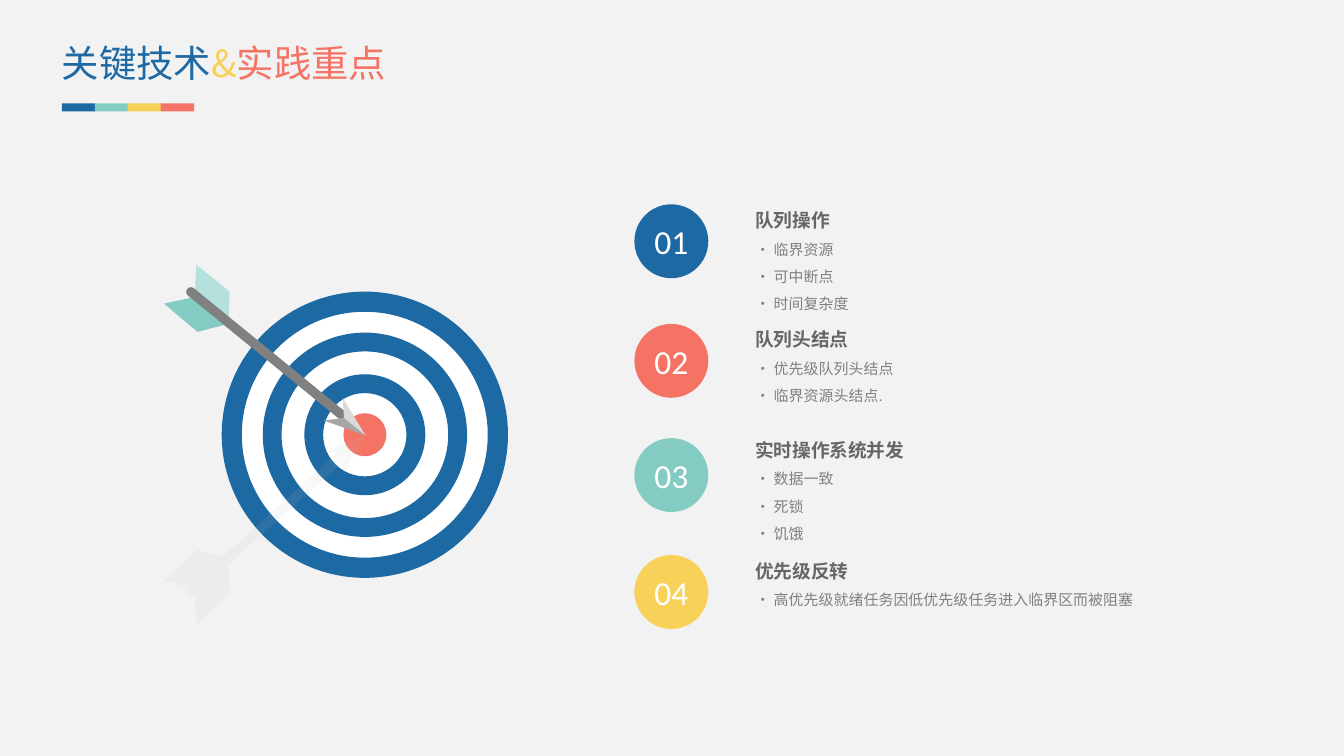
from pptx import Presentation
from pptx.dml.color import RGBColor
from pptx.enum.shapes import MSO_SHAPE
from pptx.enum.text import MSO_ANCHOR, MSO_AUTO_SIZE, PP_ALIGN
from pptx.oxml import parse_xml
from pptx.oxml.ns import nsdecls
from pptx.util import Inches, Pt

OVAL, DONUT = MSO_SHAPE.OVAL, MSO_SHAPE.DONUT
BAR, ROUNDED = MSO_SHAPE.RECTANGLE, MSO_SHAPE.ROUNDED_RECTANGLE
MIDDLE, CENTER = MSO_ANCHOR.MIDDLE, PP_ALIGN.CENTER
FIT_SHAPE = MSO_AUTO_SIZE.SHAPE_TO_FIT_TEXT

COLORS = {
    "background": "F2F2F2", "white": "FFFFFF",
    "blue": "1D69A3", "coral": "F57365", "teal": "84CBC3", "yellow": "F8D158",
    "light teal": "B5E0DB", "heading": "666666", "shaft": "808080",
    "detail": "808080", "dark tip": "A6A6A6", "light tip": "D9D9D9",
    "shadow": "BFBFBF",
}
CJK_FONT = "Noto Sans CJK SC"
UNITS = 100  # freeform units per inch

# number, colour, circle top, text top, heading font, heading, details
TOPICS = [
    ("01", "blue", 1.52, 1.52, "Arial", "队列操作",
     ["临界资源", "可中断点", "时间复杂度"]),
    ("02", "coral", 2.41, 2.41, "Calibri", "队列头结点",
     ["优先级队列头结点", "临界资源头结点."]),
    ("03", "teal", 3.26, 3.23, "Calibri", "实时操作系统并发",
     ["数据一致", "死锁", "饥饿"]),
    ("04", "yellow", 4.13, 4.13, "Calibri", "优先级反转",
     ["高优先级就绪任务因低优先级任务进入临界区而被阻塞"]),
]

# Outlines in hundredths of an inch from the top left of the arrow
ARROW_FEATHERS = [
    ("teal", [(48, 44), (25, 50), (0, 29), (23, 24)]),
    ("light teal", [(48, 44), (49, 20), (24, 0), (23, 24)]),
]
ARROW_TIP = [
    ("dark tip", [(119, 116), (150, 127), (134, 114)]),
    ("light tip", [(134, 114), (150, 127), (133, 99)]),
]
ARROW_SHADOW = [
    (150, 0), (133, 31), (134, 20), (48, 97), (49, 119), (24, 142), (23, 120),
    (22, 121), (19, 121), (17, 120), (16, 118), (18, 115), (19, 114),
    (0, 109), (25, 86), (44, 91), (129, 14), (119, 13),
]


def paint(shape, color):
    shape.shadow.inherit = False
    shape.fill.solid()
    shape.fill.fore_color.rgb = RGBColor.from_string(COLORS[color])
    shape.line.fill.background()


def add_filled(slide, kind, left, top, width, height, color):
    shape = slide.shapes.add_shape(
        kind, Inches(left), Inches(top), Inches(width), Inches(height))
    paint(shape, color)
    return shape


def add_outline(slide, left, top, points, color):
    builder = slide.shapes.build_freeform(*points[0], scale=Inches(1) / UNITS)
    builder.add_line_segments(points[1:], close=True)
    outline = builder.convert_to_shape(Inches(left), Inches(top))
    paint(outline, color)
    return outline


def add_run(paragraph, text, size, color, font="Calibri", bold=False):
    run = paragraph.add_run()
    run.text = text
    run.font.size = Pt(size)
    run.font.name = font
    run.font.bold = bold
    run.font.color.rgb = RGBColor.from_string(COLORS[color])
    run.font._element.find("{*}latin").addnext(
        parse_xml(f'<a:ea {nsdecls("a")} typeface="{CJK_FONT}"/>'))


def clear_margins(frame):
    frame.margin_left = frame.margin_right = 0
    frame.margin_top = frame.margin_bottom = 0


def add_text_frame(slide, left, top, width, height):
    frame = slide.shapes.add_textbox(
        Inches(left), Inches(top), Inches(width), Inches(height)).text_frame
    clear_margins(frame)
    frame.word_wrap = True
    frame.auto_size = FIT_SHAPE
    return frame


def add_title(slide, left, top):
    title = add_text_frame(slide, left, top, 3.04, 0.34).paragraphs[0]
    for text, color in [("关键技术", "blue"), ("&", "yellow"),
                        ("实践重点", "coral")]:
        add_run(title, text, 20, color, CJK_FONT)
    for i, color in enumerate(["blue", "teal", "yellow", "coral"]):
        add_filled(slide, BAR, left + i * 0.245, top + 0.47, 0.25, 0.06, color)


def add_target(slide, left, top, size):
    """Draw the white disc, the bullseye and three concentric rings."""
    def centered(kind, diameter, color):
        inset = (size - diameter) / 2
        return add_filled(slide, kind, left + inset, top + inset,
                          diameter, diameter, color)

    centered(OVAL, size - 0.02, "white")
    centered(OVAL, 0.32, "coral")
    for diameter, thickness in [(size, 0.15), (1.52, 0.14), (0.9, 0.14)]:
        ring = centered(DONUT, diameter, "blue")
        ring.adjustments[0] = thickness / diameter


def add_arrow(slide, left, top):
    for color, points in ARROW_FEATHERS:
        add_outline(slide, left, top, points, color)
    shaft = add_filled(slide, ROUNDED, left - 0.01, top + 0.66, 1.63, 0.07,
                       "shaft")
    shaft.adjustments[0] = 0.5
    shaft.rotation = 39.2
    for color, points in ARROW_TIP:
        add_outline(slide, left, top, points, color)


def add_arrow_shadow(slide, left, top):
    shadow = add_outline(slide, left, top, ARROW_SHADOW, "shadow")
    shadow_color = shadow._element.spPr.find("{*}solidFill")[0]
    shadow_color.append(parse_xml(f'<a:alpha {nsdecls("a")} val="10000"/>'))


def add_topic(slide, left, topic):
    number, color, circle_top, text_top, font, heading, details = topic
    circle = add_filled(slide, OVAL, left, circle_top, 0.55, 0.55, color)
    clear_margins(circle.text_frame)
    circle.text_frame.vertical_anchor = MIDDLE
    label = circle.text_frame.paragraphs[0]
    label.alignment = CENTER
    add_run(label, number, 18, "white")

    frame = add_text_frame(slide, left + 0.9, text_top, 2.91,
                           0.2 * (len(details) + 1))
    add_run(frame.paragraphs[0], heading, 10, "heading", font, bold=True)
    for detail in details:
        add_run(frame.add_paragraph(), f"• {detail}", 8, "detail")
    for paragraph in frame.paragraphs:
        paragraph.line_spacing = 1.2
        paragraph.space_before = Pt(3)


def main():
    deck = Presentation()
    deck.slide_width = Inches(10)
    deck.slide_height = deck.slide_width * 9 // 16
    slide = deck.slides.add_slide(deck.slide_layouts[6])
    slide.background.fill.solid()
    slide.background.fill.fore_color.rgb = RGBColor.from_string(
        COLORS["background"])

    add_target(slide, 1.65, 2.17, 2.13)
    add_arrow(slide, 1.22, 1.97)
    add_arrow_shadow(slide, 1.22, 3.23)
    for topic in TOPICS:
        add_topic(slide, 4.72, topic)
    add_title(slide, 0.46, 0.3)
    deck.save("out.pptx")


if __name__ == "__main__":
    main()
